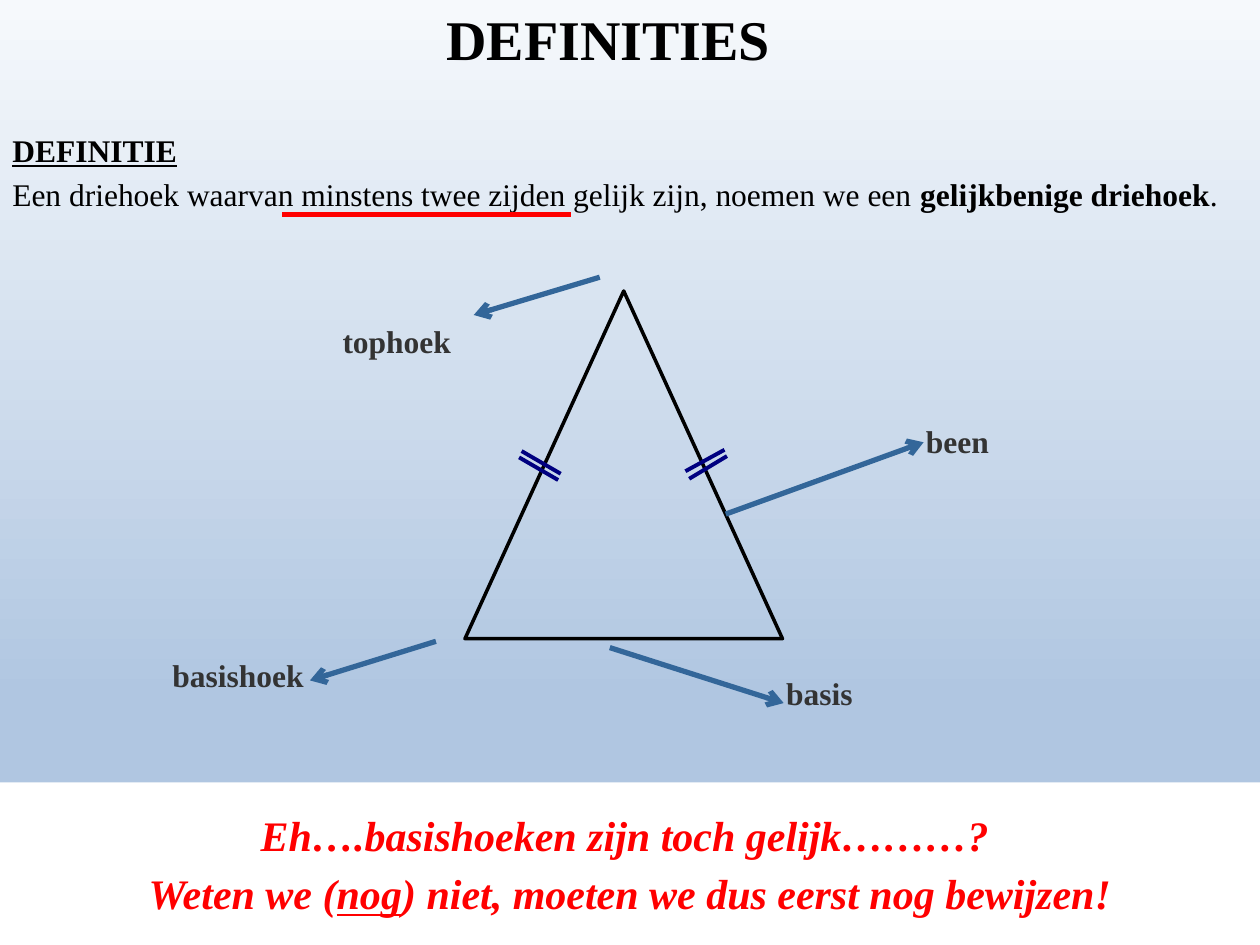
from lxml.etree import SubElement
from pptx import Presentation
from pptx.dml.color import RGBColor
from pptx.enum.shapes import MSO_CONNECTOR, MSO_SHAPE
from pptx.enum.text import MSO_ANCHOR as Anchor, PP_ALIGN as Align
from pptx.oxml.ns import qn
from pptx.util import Inches, Pt

BLACK = RGBColor(0x00, 0x00, 0x00)
WHITE = RGBColor(0xFF, 0xFF, 0xFF)
RED = RGBColor(0xFF, 0x00, 0x00)
NAVY = RGBColor(0x00, 0x00, 0x80)
STEEL = RGBColor(0x33, 0x66, 0x99)
GREY = RGBColor(0x33, 0x33, 0x33)
SKY = [(0, "F6F9FC"), (74, "B0C6E1"), (83, "B0C6E1"), (100, "CAD9EB")]

prs = Presentation()
prs.slide_width, prs.slide_height = Inches(10), Inches(7.5)
slide = prs.slides.add_slide(prs.slide_layouts[6])
shapes = slide.shapes


def write(frame, paragraphs, size, color, align=Align.LEFT, anchor=Anchor.TOP):
    """Fill a frame with paragraphs, each a list of (text, styles) where styles uses b, i and u."""
    frame.word_wrap = True
    frame.vertical_anchor = anchor
    for number, runs in enumerate(paragraphs):
        paragraph = frame.add_paragraph() if number else frame.paragraphs[0]
        paragraph.alignment = align
        if number:
            paragraph.space_before = Pt(size * 0.2)
        for text, styles in runs:
            run = paragraph.add_run()
            run.text = text
            font = run.font
            font.name, font.size = "Times New Roman", Pt(size)
            font.color.rgb = color
            font.bold = "b" in styles
            font.italic = "i" in styles
            font.underline = "u" in styles


def draw_line(start, end, color, width, arrow=False):
    line = shapes.add_connector(MSO_CONNECTOR.STRAIGHT, *map(Inches, start + end))
    line.line.color.rgb = color
    line.line.width = Pt(width)
    if arrow:
        SubElement(line.line._get_or_add_ln(), qn("a:tailEnd"), type="arrow")
    SubElement(line._element.spPr, qn("a:effectLst"))


# Background
sky = slide.background.fill
sky.gradient()
sky.gradient_angle = 270
stops = slide._element.find(".//" + qn("a:gsLst"))
for stop in list(stops):
    stops.remove(stop)
for percent, color in SKY:
    stop = SubElement(stops, qn("a:gs"), pos=str(percent * 1000))
    SubElement(stop, qn("a:srgbClr"), val=color)

# Title and definition
title = shapes.add_textbox(Inches(0.58), Inches(0.05), Inches(8.5), Inches(0.5))
write(title.text_frame, [[("DEFINITIES", "b")]], 32, BLACK, Align.CENTER, Anchor.MIDDLE)

definition = shapes.add_textbox(Inches(0), Inches(0.99), Inches(10), Inches(0.92))
write(definition.text_frame, [
    [("DEFINITIE", "bu")],
    [("Een driehoek waarvan minstens twee zijden gelijk zijn, noemen we een ", ""),
     ("gelijkbenige driehoek", "b"), (".", "")],
], 18, BLACK)
draw_line((2.24, 1.7), (4.53, 1.7), RED, 3)

# Triangle with equal-side marks
triangle = shapes.add_shape(MSO_SHAPE.ISOSCELES_TRIANGLE,
                            Inches(3.69), Inches(2.31), Inches(2.52), Inches(2.76))
triangle.shadow.inherit = False
triangle.fill.background()
triangle.line.color.rgb = BLACK
triangle.line.width = Pt(2)

for start, end in [((5.77, 3.62), (5.47, 3.8)), ((5.75, 3.57), (5.44, 3.74)),
                   ((4.12, 3.63), (4.43, 3.81)), ((4.14, 3.58), (4.45, 3.76))]:
    draw_line(start, end, NAVY, 2.25)

# Named parts: arrow start, arrow end, label position, label width
PARTS = [
    ("been", (5.76, 4.08), (7.33, 3.51), (7.25, 3.3), 0.81),
    ("tophoek", (4.76, 2.2), (3.76, 2.5), (2.62, 2.51), 1.38),
    ("basis", (4.84, 5.14), (6.22, 5.58), (6.14, 5.3), 0.81),
    ("basishoek", (3.46, 5.09), (2.46, 5.4), (1.27, 5.16), 1.38),
]
for name, start, end, (left, top), width in PARTS:
    draw_line(start, end, STEEL, 3, arrow=True)
    label = shapes.add_textbox(Inches(left), Inches(top), Inches(width), Inches(0.4))
    write(label.text_frame, [[(name, "b")]], 18, GREY)

# Closing remark
remark = shapes.add_shape(MSO_SHAPE.RECTANGLE, Inches(0), Inches(6.21), Inches(10), Inches(1.29))
remark.shadow.inherit = False
remark.fill.solid()
remark.fill.fore_color.rgb = WHITE
remark.line.fill.background()
write(remark.text_frame, [
    [("Eh….basishoeken zijn toch gelijk………? ", "bi")],
    [("Weten we (", "bi"), ("nog", "biu"), (") niet, moeten we dus eerst nog bewijzen!", "bi")],
], 24, RED, Align.CENTER, Anchor.MIDDLE)

prs.save("out.pptx")
